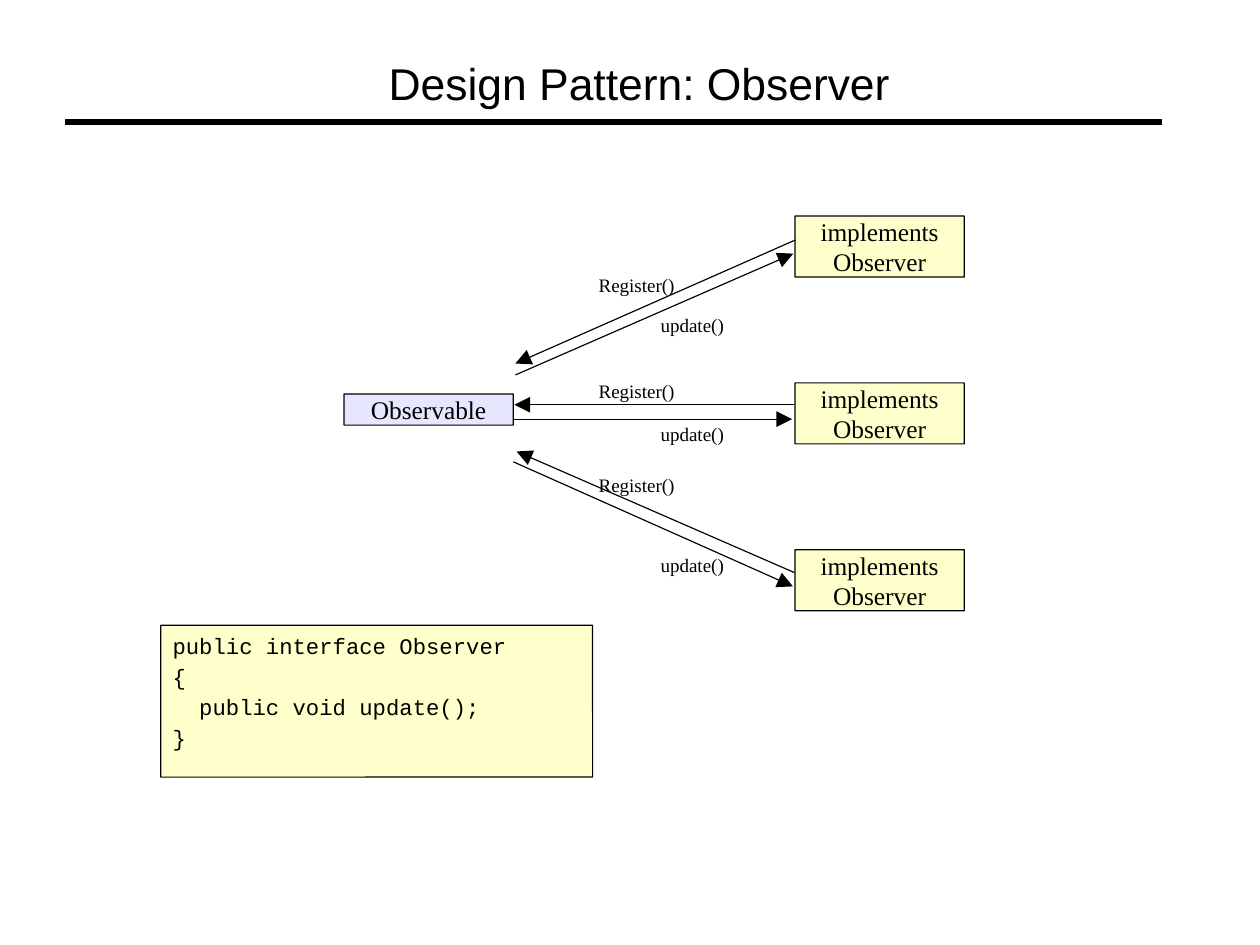
"""Builds the Observer design pattern slide."""
from lxml import etree
from pptx import Presentation
from pptx.dml.color import RGBColor
from pptx.enum import shapes, text
from pptx.oxml import ns
from pptx.util import Pt

BLACK, YELLOW, LAVENDER = "000000", "FFFFCC", "E6E6FF"
SERIF, SANS, MONO = "Times New Roman", "Arial", "Courier New"

TITLE = "Design Pattern: Observer"
OBSERVABLE = "Observable"
OBSERVER = "implements\nObserver"
CODE = "public interface Observer\n{\n  public void update();\n}"

OBSERVER_LEFT, OBSERVER_TOP, OBSERVER_STEP = 500.8, 136.1, 105.1
BOX_WIDTH = 106.6
CALLS = [
    {"Register()": ((501, 151.2), (324.7, 229), (377.1, 172.1)),
     "update()": ((324.7, 236.2), (499.7, 159.8), (416.1, 197.3))},
    {"Register()": ((500.4, 255), (324, 255), (377.1, 239)),
     "update()": ((324, 264), (499, 264), (416.1, 265.9))},
    {"Register()": ((500.4, 360.7), (325.4, 284.4), (377.1, 298.2)),
     "update()": ((323.3, 290.9), (499.5, 369.4), (416.1, 348.5))},
]

prs = Presentation()
prs.slide_width, prs.slide_height = Pt(793.7), Pt(595.28)
slide = prs.slides.add_slide(prs.slide_layouts[6])


def color(code):
    return RGBColor.from_string(code)


def write(shape, words, font, size, align=text.PP_ALIGN.LEFT,
          anchor=text.MSO_ANCHOR.TOP, wrap=True, gap=0):
    frame = shape.text_frame
    frame.text = words
    frame.word_wrap = wrap
    frame.vertical_anchor = anchor
    frame.margin_left = frame.margin_right = 0
    frame.margin_top = frame.margin_bottom = 0
    for index, paragraph in enumerate(frame.paragraphs):
        paragraph.alignment = align
        paragraph.space_before = Pt(gap if index else 0)
        for run in paragraph.runs:
            run.font.name, run.font.size = font, Pt(size)
            run.font.color.rgb = color(BLACK)


def label(words, left, top, width, height, font, size, **style):
    area = slide.shapes.add_textbox(Pt(left), Pt(top), Pt(width), Pt(height))
    write(area, words, font, size, **style)


def box(left, top, width, height, fill, words=""):
    shape = slide.shapes.add_shape(
        shapes.MSO_SHAPE.ROUNDED_RECTANGLE, Pt(left), Pt(top), Pt(width), Pt(height))
    shape.adjustments[0] = 0.001
    shape.shadow.inherit = False
    shape.fill.solid()
    shape.fill.fore_color.rgb = color(fill)
    shape.line.color.rgb = color(BLACK)
    shape.line.width = Pt(0.75)
    if words:
        write(shape, words, SERIF, 16, text.PP_ALIGN.CENTER, text.MSO_ANCHOR.MIDDLE)


def line(start, end, width=0.75, arrow=True):
    link = slide.shapes.add_connector(
        shapes.MSO_CONNECTOR.STRAIGHT, *(Pt(value) for value in start + end))
    link.line.color.rgb = color(BLACK)
    link.line.width = Pt(width)
    if arrow:
        etree.SubElement(link.line._get_or_add_ln(), ns.qn("a:tailEnd"),
                         type="triangle", w="lg", len="lg")
    etree.SubElement(link._element.spPr, ns.qn("a:effectLst"))


line((41, 76.9), (732.3, 76.9), 4.31, arrow=False)
label(TITLE, 244.8, 35.6, 381, 34, SANS, 28)

box(216.7, 248.2, BOX_WIDTH, 19.6, LAVENDER, OBSERVABLE)
for row, calls in enumerate(CALLS):
    box(OBSERVER_LEFT, OBSERVER_TOP + row * OBSERVER_STEP, BOX_WIDTH, 38.4, YELLOW, OBSERVER)
    for call, (start, end, place) in calls.items():
        line(start, end)
        label(call, *place, 48, 14.4, SERIF, 12, wrap=False)

box(101.3, 393.9, 272, 95.6, YELLOW)
label(CODE, 108.7, 398.2, 269.3, 74.9, MONO, 14, gap=2.6)

prs.save("out.pptx")
